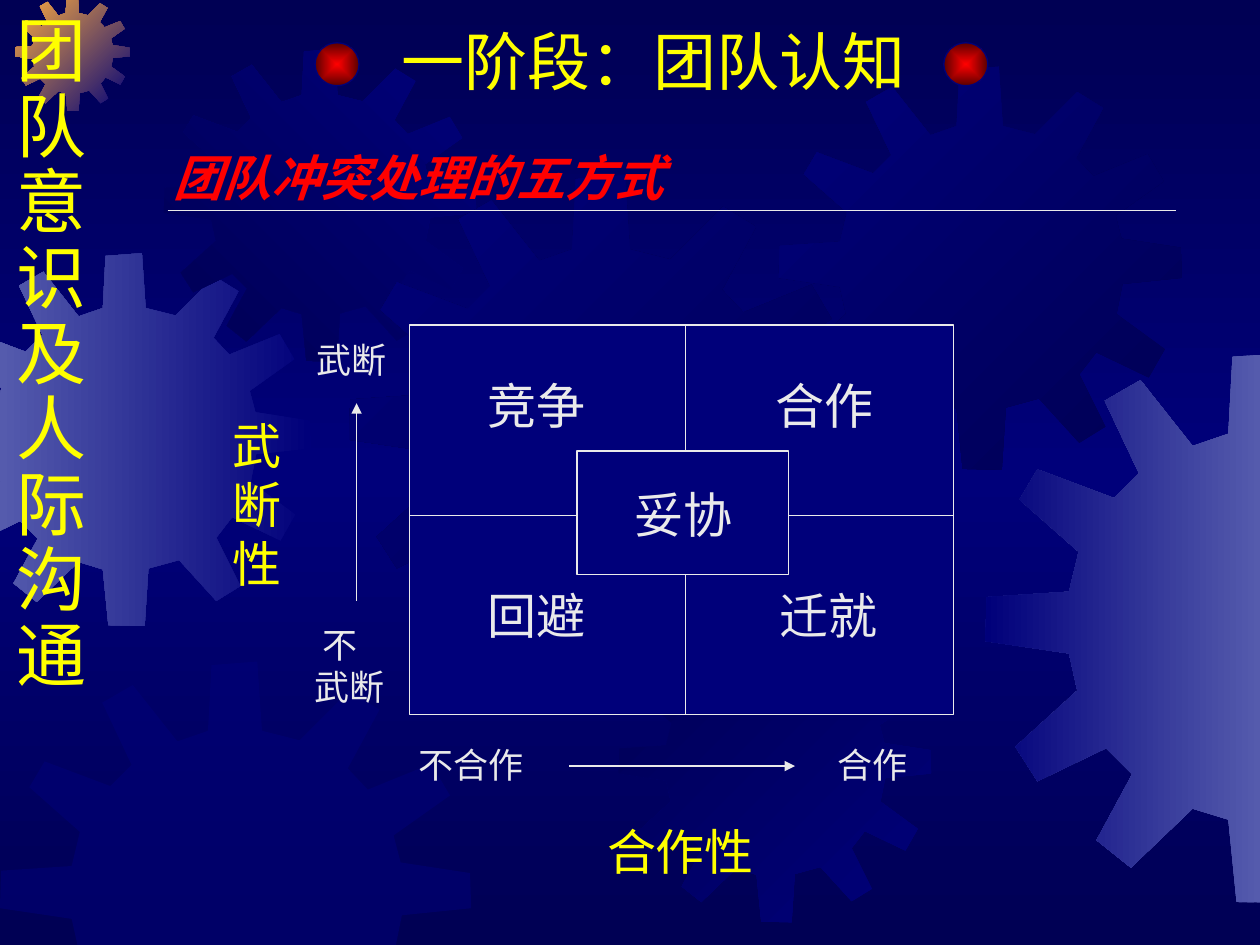
import copy

import pptx
import pptx.dml.color
import pptx.enum.shapes
import pptx.enum.text
import pptx.oxml
import pptx.oxml.ns
import pptx.util
from pptx.util import Inches

NAVY = pptx.dml.color.RGBColor(0x00, 0x00, 0x54)
BLUE = pptx.dml.color.RGBColor(0x00, 0x00, 0x7A)
LAVENDER = pptx.dml.color.RGBColor(0x55, 0x5B, 0xAD)
ORANGE = pptx.dml.color.RGBColor(0xFC, 0xAB, 0x40)
YELLOW = pptx.dml.color.RGBColor(0xFF, 0xFF, 0x00)
RED = pptx.dml.color.RGBColor(0xFF, 0x00, 0x00)
MAROON = pptx.dml.color.RGBColor(0x5B, 0x00, 0x00)
PALE = pptx.dml.color.RGBColor(0xEA, 0xEA, 0xEA)

HEADING_FONT = "Arial Narrow"
BODY_FONT = "Noto Sans CJK SC"
SLIDE_WIDTH, SLIDE_HEIGHT = 10, 7.5

GEAR_SIZE = 401
GEAR_OUTLINE = [
    (255, 67), (223, 59), (219, 0), (180, 3), (177, 59), (151, 68),
    (113, 20), (87, 35), (112, 88), (94, 106), (38, 85), (25, 107),
    (68, 145), (61, 174), (1, 178), (0, 210), (61, 219), (67, 246),
    (22, 287), (38, 312), (88, 288), (107, 307), (81, 355), (106, 375),
    (151, 332), (177, 340), (183, 400), (222, 401), (226, 339), (259, 330),
    (299, 374), (325, 358), (299, 306), (316, 284), (368, 309), (384, 281),
    (336, 246), (342, 216), (401, 210), (400, 180), (341, 171), (335, 148),
    (383, 114), (367, 87), (313, 109), (296, 91), (323, 41), (297, 25),
]
GEARS = [
    (-0.49, 2.01, 2.96, BLUE, LAVENDER, 180),
    (0.12, -0.03, 0.91, BLUE, ORANGE, 135),
    (1.3, 0.39, 2.48, BLUE, NAVY, 225),
    (2.77, 1.39, 4.01, NAVY, BLUE, 135),
    (0, 5.25, 3.74, BLUE, None, None),
    (4.91, 4.84, 2.48, BLUE, NAVY, 135),
    (6.18, 0.53, 3.2, NAVY, BLUE, 135),
    (7.82, 2.8, 4.37, LAVENDER, BLUE, 180),
]


def make_element(markup):
    name, _, attributes = markup.partition(" ")
    namespace = pptx.oxml.ns.nsdecls("a")
    return pptx.oxml.parse_xml(f"<a:{name} {namespace} {attributes}/>")


def set_gradient(fill, start, end, angle):
    fill.gradient()
    fill.gradient_angle = angle
    for stop, color in zip(fill.gradient_stops, (start, end)):
        stop.color.rgb = color


def set_background(slide):
    set_gradient(slide.background.fill, NAVY, BLUE, 90)
    stops = slide._element.find(".//" + pptx.oxml.ns.qn("a:gsLst"))
    stops.append(copy.deepcopy(stops[0]))
    for stop, position in zip(stops, (0, 50000, 100000)):
        stop.set("pos", str(position))


def clip(points, axis, limit, sign):
    kept = []
    for previous, current in zip(points[-1:] + points[:-1], points):
        before = sign * (previous[axis] - limit)
        after = sign * (current[axis] - limit)
        if before * after < 0:
            share = before / (before - after)
            kept.append(tuple(p + share * (c - p) for p, c in zip(previous, current)))
        if after >= 0:
            kept.append(current)
    return kept


def draw_gear(slide, left, top, size, start, end, angle):
    scale = size / GEAR_SIZE
    points = [(left + x * scale, top + y * scale) for x, y in GEAR_OUTLINE]
    for axis, limit in enumerate((SLIDE_WIDTH, SLIDE_HEIGHT)):
        points = clip(clip(points, axis, 0, 1), axis, limit, -1)
    points = [(Inches(x), Inches(y)) for x, y in points]
    builder = slide.shapes.build_freeform(*points[0])
    builder.add_line_segments(points[1:], close=True)
    gear = builder.convert_to_shape()
    gear.shadow.inherit = False
    gear.line.fill.background()
    if end is None:
        gear.fill.solid()
        gear.fill.fore_color.rgb = start
        color = gear._element.spPr.find(".//" + pptx.oxml.ns.qn("a:srgbClr"))
        color.append(make_element('alpha val="50000"'))
    else:
        set_gradient(gear.fill, start, end, angle)


def fill_text(shape, lines, size, color, font=BODY_FONT, spacing=None, **styles):
    frame = shape.text_frame
    frame.text = "\n".join(lines)
    settings = {
        "word_wrap": False,
        "auto_size": pptx.enum.text.MSO_AUTO_SIZE.SHAPE_TO_FIT_TEXT,
        "vertical_anchor": pptx.enum.text.MSO_ANCHOR.TOP,
        "margin_right": 0,
    }
    for name, value in settings.items():
        setattr(frame, name, value)
    formats = {"size": pptx.util.Pt(size), "name": font, **styles}
    for paragraph in frame.paragraphs:
        paragraph.alignment = pptx.enum.text.PP_ALIGN.LEFT
        paragraph.line_spacing = spacing
        for run in paragraph.runs:
            for name, value in formats.items():
                setattr(run.font, name, value)
            run.font.color.rgb = color
            latin = run.font._element.find(pptx.oxml.ns.qn("a:latin"))
            latin.addnext(make_element(f'ea typeface="{font}"'))


def add_text(slide, left, top, width, height, lines, size, color, **styles):
    box = slide.shapes.add_textbox(
        Inches(left), Inches(top), Inches(width), Inches(height))
    fill_text(box, lines, size, color, **styles)
    return box


def add_line(slide, start, end, arrow=False):
    line = slide.shapes.add_connector(
        pptx.enum.shapes.MSO_CONNECTOR.STRAIGHT,
        *(Inches(value) for value in (*start, *end)))
    line.line.color.rgb = PALE
    line.line.width = pptx.util.Pt(0.75)
    if arrow:
        line.line._get_or_add_ln().append(make_element('tailEnd type="triangle"'))
    line._element.spPr.append(make_element("effectLst"))


def add_shape(slide, kind, left, top, width, height, line_color):
    shape = slide.shapes.add_shape(
        kind, Inches(left), Inches(top), Inches(width), Inches(height))
    shape.shadow.inherit = False
    shape.fill.solid()
    shape.fill.fore_color.rgb = BLUE
    shape.line.color.rgb = line_color
    shape.line.width = pptx.util.Pt(0.75)
    return shape


def draw_header(slide, left, top, width):
    for offset in (1.22, 6.21):
        ball = add_shape(slide, pptx.enum.shapes.MSO_SHAPE.OVAL,
                         left + offset, top + 0.21, 0.35, 0.34, BLUE)
        set_gradient(ball.fill, RED, MAROON, 0)
        linear = ball._element.spPr.find(".//" + pptx.oxml.ns.qn("a:lin"))
        radial = make_element('path path="rect"')
        radial.append(make_element('fillToRect l="50000" t="50000" r="50000" b="50000"'))
        linear.getparent().replace(linear, radial)
    title = slide.shapes.title
    slide.shapes._spTree.append(title._element)
    place = {"left": left + 1.81, "top": top, "width": 4.2, "height": 0.7}
    for name, value in place.items():
        setattr(title, name, Inches(value))
    fill_text(title, ["一阶段：团队认知"], 36, YELLOW, font=HEADING_FONT)
    rule = top + 1.54
    add_line(slide, (left + 0.05, rule), (left + width, rule))
    add_text(slide, left, top + 0.99, 4.28, 0.57, ["团队冲突处理的五方式"],
             28, RED, bold=True, italic=True)


def draw_matrix(slide, left, top, width, height):
    rectangle = pptx.enum.shapes.MSO_SHAPE.RECTANGLE
    add_shape(slide, rectangle, left, top, width, height, PALE)
    middle, center = top + 1.51, left + 2.19
    add_line(slide, (left, middle), (left + width, middle))
    add_line(slide, (center, top), (center, top + height))
    add_shape(slide, rectangle, left + 1.33, top + 1, 1.68, 0.98, PALE)
    labels = [("竞争", 0.52, 0.35), ("合作", 2.81, 0.35), ("妥协", 1.69, 1.22),
              ("回避", 0.52, 2.02), ("迁就", 2.84, 2.02)]
    for label, across, down in labels:
        add_text(slide, left + across, top + down, 0.97, 0.57, [label], 28, PALE)


def draw_vertical_axis(slide, left, top):
    add_line(slide, (left + 1.08, top + 2.19), (left + 1.08, top + 0.62), arrow=True)
    add_text(slide, left + 0.66, top + 0.06, 0.75, 0.44, ["武断"], 20, PALE)
    low = add_text(slide, left + 0.65, top + 2.32, 0.75, 0.77, ["不", "武断"], 20, PALE)
    indent = low.text_frame.paragraphs[0]._p.get_or_add_pPr()
    indent.set("marL", str(Inches(0.06)))
    add_text(slide, left, top + 0.67, 0.59, 1.5, "武断性", 28, YELLOW)


def draw_horizontal_axis(slide, left, top):
    add_line(slide, (left + 1.3, top + 0.23), (left + 3.09, top + 0.23), arrow=True)
    add_text(slide, left, top, 1.03, 0.44, ["不合作"], 20, PALE)
    add_text(slide, left + 3.33, top, 0.75, 0.44, ["合作"], 20, PALE)
    add_text(slide, left + 1.5, top + 0.62, 1.36, 0.57, ["合作性"], 28, YELLOW)


def main():
    presentation = pptx.Presentation()
    presentation.slide_width = Inches(SLIDE_WIDTH)
    presentation.slide_height = Inches(SLIDE_HEIGHT)
    slide = presentation.slides.add_slide(presentation.slide_layouts[5])
    set_background(slide)
    for gear in GEARS:
        draw_gear(slide, *gear)
    add_text(slide, 0.03, 0.08, 0.75, 5.5, "团队意识及人际沟通", 40, YELLOW,
             font=HEADING_FONT, spacing=0.9)
    draw_header(slide, 1.28, 0.13, 8.05)
    draw_matrix(slide, 3.25, 2.58, 4.32, 3.09)
    draw_vertical_axis(slide, 1.75, 2.58)
    draw_horizontal_axis(slide, 3.22, 5.85)
    presentation.save("out.pptx")


if __name__ == "__main__":
    main()
